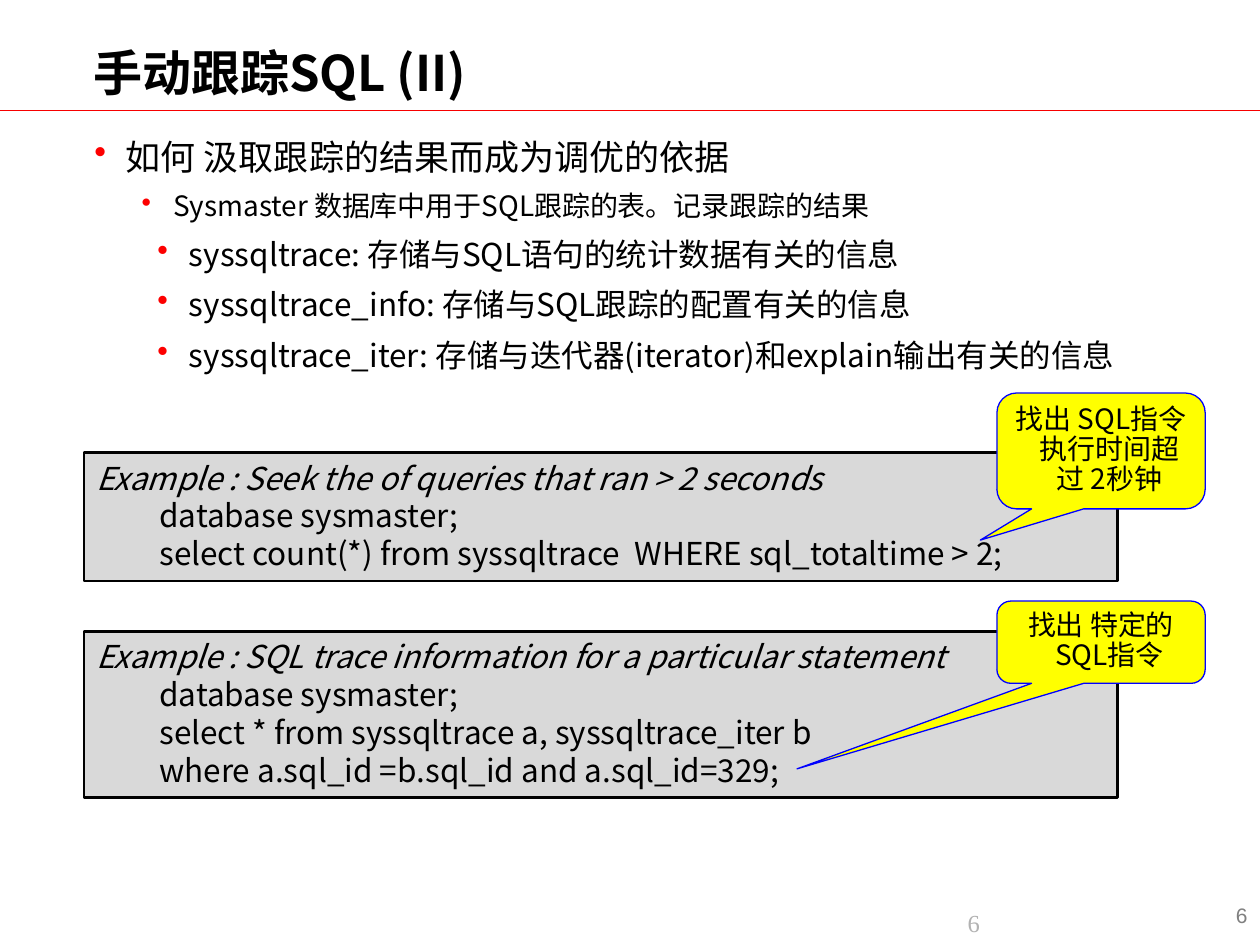
"""Build the slide on tracing SQL by hand."""
from lxml.etree import SubElement
from pptx import Presentation
from pptx.dml.color import RGBColor
from pptx.enum.shapes import MSO_CONNECTOR, MSO_SHAPE
from pptx.enum.text import MSO_ANCHOR, MSO_AUTO_SIZE, PP_ALIGN
from pptx.oxml.ns import qn
from pptx.util import Pt

SANS = "Noto Sans CJK SC"


def color(value):
    return RGBColor.from_string(value)


def write(frame, lines, inset=(7.2, 3.6), anchor=MSO_ANCHOR.TOP):
    """Fill a frame with (text, format) lines."""
    frame.word_wrap = True
    frame.auto_size = MSO_AUTO_SIZE.NONE
    frame.vertical_anchor = anchor
    frame.margin_left = frame.margin_right = Pt(inset[0])
    frame.margin_top = frame.margin_bottom = Pt(inset[1])
    for index, (text, style) in enumerate(lines):
        para = frame.paragraphs[0] if index == 0 else frame.add_paragraph()
        para.text = text
        para.level = style.get("level", 0)
        para.alignment = style.get("align", PP_ALIGN.LEFT)
        para.line_spacing = style.get("spacing", 1.0)
        para.space_before = Pt(style.get("before", 0) if index else 0)
        properties = para._p.get_or_add_pPr()
        properties.set("marL", str(Pt(style.get("margin", 0))))
        properties.set("indent", str(Pt(style.get("indent", 0))))
        if "bullet" in style:
            tint = SubElement(properties, qn("a:buClr"))
            SubElement(tint, qn("a:srgbClr"), val=style["bullet"])
            SubElement(properties, qn("a:buChar"), char="•")
        font = para.font
        font.size = Pt(style["size"])
        font.bold = style.get("bold", False)
        font.italic = style.get("italic", False)
        font.color.rgb = color(style.get("color", "000000"))
        font.name = style.get("font", SANS)
        SubElement(font._element, qn("a:ea"), typeface=font.name)


deck = Presentation()
deck.slide_width, deck.slide_height = Pt(720), Pt(540)
page = deck.slides.add_slide(deck.slide_layouts[5])

rule = page.shapes.add_connector(MSO_CONNECTOR.STRAIGHT, 0, Pt(63), Pt(720), Pt(63))
rule.line.color.rgb = color("F70000")
rule.line.width = Pt(0.75)
SubElement(rule._element.spPr, qn("a:effectLst"))

title = page.shapes.title
title.left, title.top, title.width, title.height = Pt(53.5), Pt(24), Pt(613), Pt(38)
write(title.text_frame, [("手动跟踪SQL (II)", {"size": 28, "bold": True})], (0, 0))

bullets = [
    ("如何 汲取跟踪的结果而成为调优的依据", 20, 18, 0),
    ("Sysmaster 数据库中用于SQL跟踪的表。记录跟踪的结果", 16, 45, 1),
    ("syssqltrace: 存储与SQL语句的统计数据有关的信息", 18, 54, 1),
    ("syssqltrace_info: 存储与SQL跟踪的配置有关的信息", 18, 54, 1),
    ("syssqltrace_iter: 存储与迭代器(iterator)和explain输出有关的信息", 18, 54, 1),
]
body = page.shapes.add_textbox(Pt(54), Pt(77.5), Pt(590), Pt(158))
write(body.text_frame, [
    (text, {"size": size, "margin": margin, "indent": -18, "level": level,
            "before": 0.4 * size, "bullet": "FD0000"})
    for text, size, margin, level in bullets
], (0, 0))

examples = [
    (258.5, 73.5, "Example : Seek the of queries that ran > 2 seconds", [
        "database sysmaster;",
        "select count(*) from syssqltrace  WHERE sql_totaltime > 2;",
    ]),
    (360.7, 95, "Example : SQL trace information for a particular statement", [
        "database sysmaster;",
        "select * from syssqltrace a, syssqltrace_iter b",
        "where a.sql_id =b.sql_id and a.sql_id=329;",
    ]),
]
for top, height, heading, code in examples:
    panel = page.shapes.add_shape(
        MSO_SHAPE.RECTANGLE, Pt(48), Pt(top), Pt(590.5), Pt(height))
    panel.shadow.inherit = False
    panel.fill.solid()
    panel.fill.fore_color.rgb = color("D9D9D9")
    panel.line.color.rgb = color("000000")
    panel.line.width = Pt(1.5)
    write(panel.text_frame, [(heading, {"size": 18, "italic": True})] + [
        (line, {"size": 18, "margin": 36, "level": 1}) for line in code])

callouts = [
    (224.6, 66.2, (-0.58, 0.77, 0.17), "找出 SQL指令执行时间超过 2秒钟"),
    (343.5, 47, (-1.46, 1.54, 0.17), "找出 特定的SQL指令"),
]
for top, height, adjustments, text in callouts:
    callout = page.shapes.add_shape(
        MSO_SHAPE.ROUNDED_RECTANGULAR_CALLOUT, Pt(569.7), Pt(top), Pt(119), Pt(height))
    for index, value in enumerate(adjustments):
        callout.adjustments[index] = value
    callout.shadow.inherit = False
    callout.fill.solid()
    callout.fill.fore_color.rgb = color("FFFF00")
    callout.line.color.rgb = color("0000FF")
    callout.line.width = Pt(0.75)
    write(callout.text_frame, [(text, {
        "size": 16, "align": PP_ALIGN.CENTER, "spacing": 0.9,
        "margin": 9.4, "indent": -9.4})])

inner_number = page.shapes.add_textbox(Pt(545.8), Pt(515.5), Pt(168), Pt(24))
write(inner_number.text_frame, [
    ("6", {"size": 14, "font": "Times New Roman", "color": "B2B2B2"})])
corner_number = page.shapes.add_textbox(0, Pt(508.3), Pt(720), Pt(29))
write(corner_number.text_frame, [
    ("6", {"size": 12, "font": "Arial", "color": "808080", "align": PP_ALIGN.RIGHT}),
], anchor=MSO_ANCHOR.MIDDLE)

deck.save("out.pptx")
